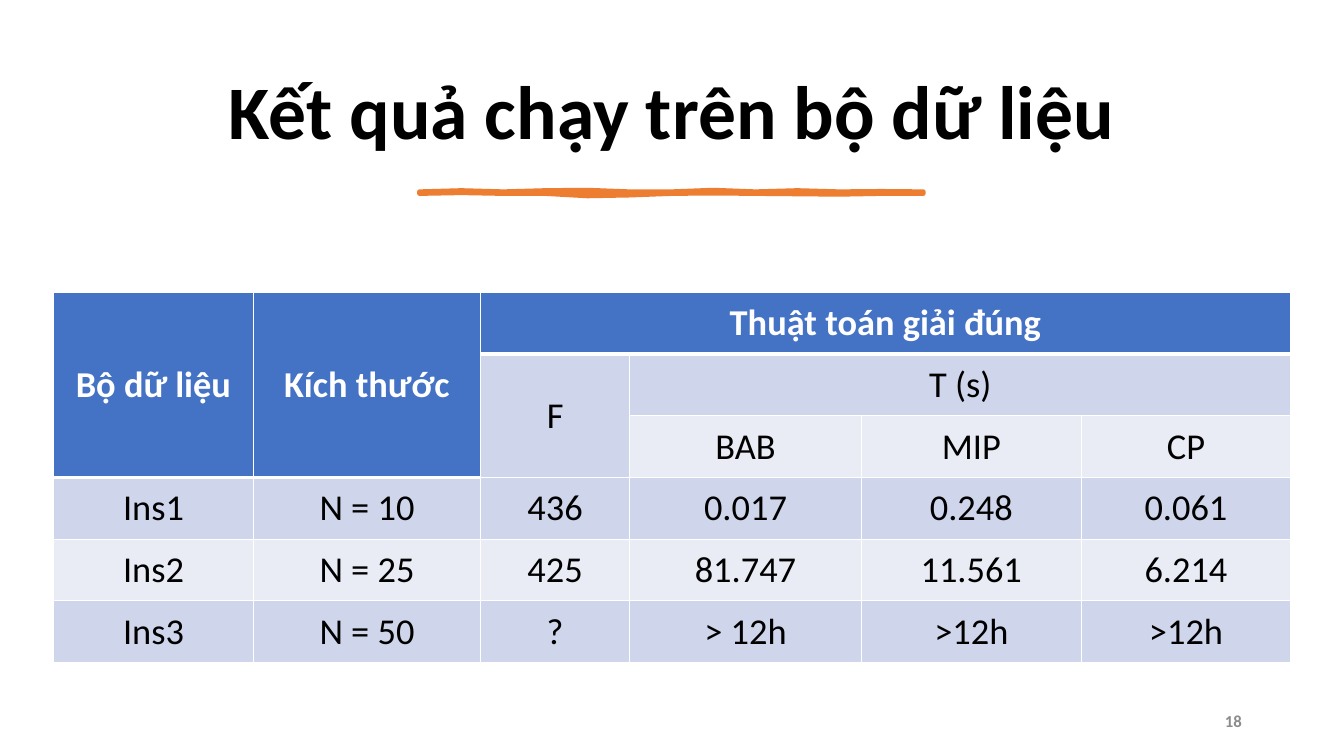
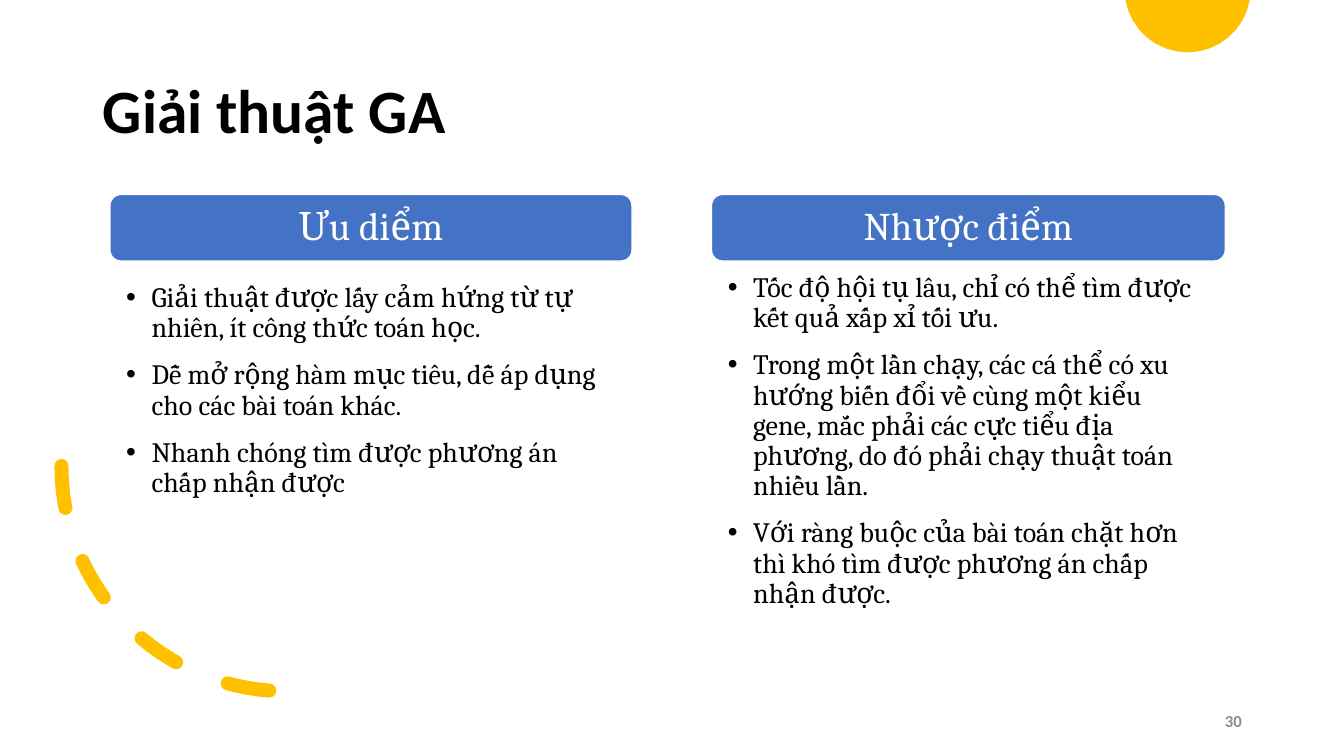
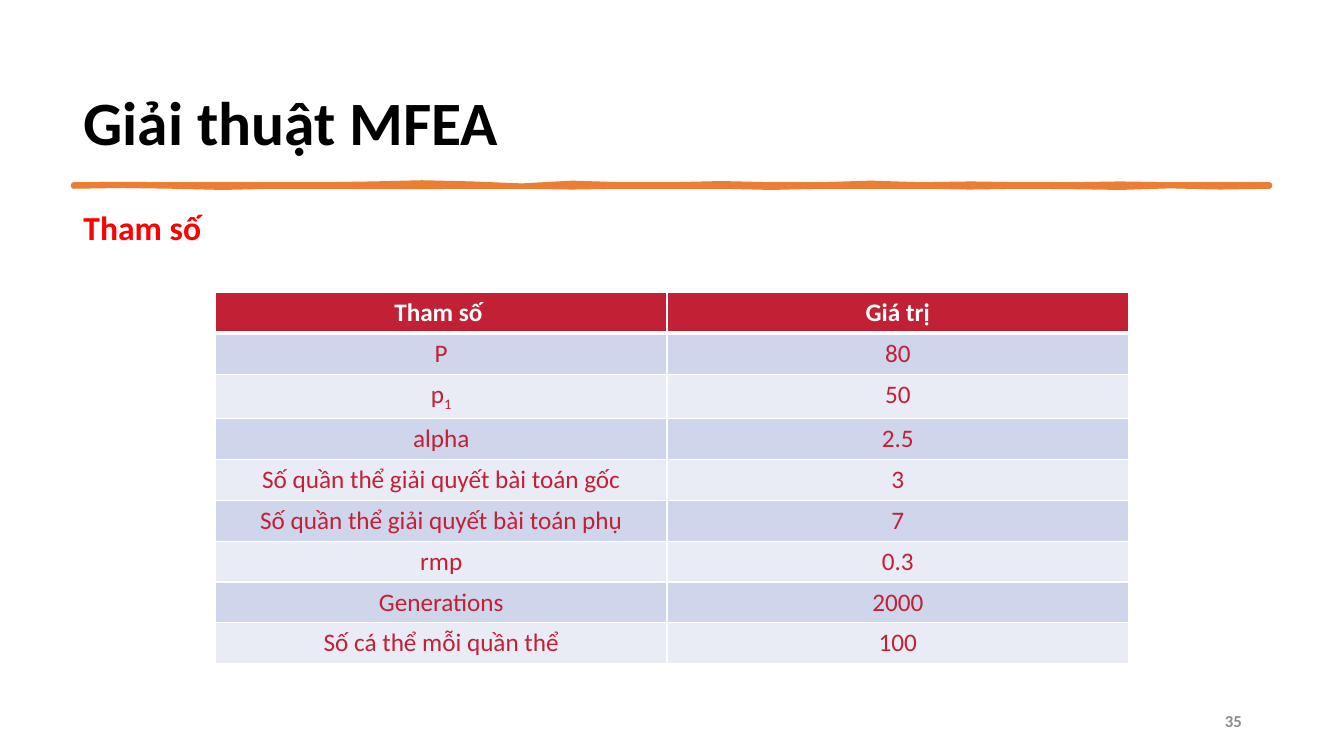
from math import asin, cos, pi, sin

from lxml import etree
from pptx import Presentation
from pptx.dml.color import RGBColor
from pptx.enum.dml import MSO_LINE
from pptx.enum.shapes import MSO_SHAPE
from pptx.enum.text import MSO_ANCHOR, MSO_AUTO_SIZE, PP_ALIGN
from pptx.oxml.ns import qn
from pptx.util import Cm, Pt

LEFT, CENTER, RIGHT = PP_ALIGN.LEFT, PP_ALIGN.CENTER, PP_ALIGN.RIGHT
TOP, MIDDLE = MSO_ANCHOR.TOP, MSO_ANCHOR.MIDDLE
FIXED = MSO_AUTO_SIZE.NONE
ARC, ROUNDED = MSO_SHAPE.ARC, MSO_SHAPE.ROUNDED_RECTANGLE
DASH = MSO_LINE.DASH


def look(name, size, color, bold=False):
    return {"name": name, "size": Pt(size), "bold": bold, "color": color}


class Theme:
    black, white, gray = "000000", "FFFFFF", "8C8C8C"
    blue, red, wine = "4472C4", "FF0000", "C22035"
    orange, gold = "ED7D31", "FFC000"
    bands = ("E9EBF5", "CFD5EA")
    sans, serif = "Calibri", "Cambria"
    cover = look(sans, 54, black, True)
    title = look(sans, 44, black, True)
    label = look(sans, 24, red, True)
    number = look(sans, 12, gray, True)
    header = look(serif, 28, white)
    body = look(serif, 20, black)
    large = look(sans, 26, black)
    small = look(sans, 18, wine)
    stroke, dash, thin, thick = 3.25, 10, 1, 3


def put(obj, vals):
    for key, val in vals.items():
        if key == "color":
            obj.color.rgb = RGBColor.from_string(val)
        else:
            setattr(obj, key, val)


def place(shape, box):
    put(shape, dict(zip(("left", "top", "width", "height"), map(Cm, box))))


def paint(shape, fill=None, line=None, width=1):
    shape.shadow.inherit = False
    if fill:
        shape.fill.solid()
        shape.fill.fore_color.rgb = RGBColor.from_string(fill)
    else:
        shape.fill.background()
    if line:
        put(shape.line, {"color": line, "width": Pt(width)})
    else:
        shape.line.fill.background()


def write(frame, lines, font, para, **frame_vals):
    put(frame, {"word_wrap": True, "auto_size": FIXED, **frame_vals})
    for i, line in enumerate(lines):
        item = frame.add_paragraph() if i else frame.paragraphs[0]
        put(item, para)
        run = item.add_run()
        run.text = line
        put(run.font, font)


def indent(frame, hang, bullet):
    for item in frame.paragraphs:
        props = item._p.get_or_add_pPr()
        props.set("marL", str(Cm(hang)))
        props.set("indent", str(-Cm(hang)))
        if bullet:
            etree.SubElement(props, qn("a:buFont")).set("typeface", "Arial")
            etree.SubElement(props, qn("a:buChar")).set("char", bullet)
        else:
            etree.SubElement(props, qn("a:buNone"))


def start(deck, layout, title, box, number, font=Theme.title, align=LEFT):
    slide = deck.slides.add_slide(deck.slide_layouts[layout])
    place(slide.shapes.title, box)
    write(slide.shapes.title.text_frame, [title], font,
          {"alignment": align, "line_spacing": 0.9}, vertical_anchor=MIDDLE)
    note = slide.shapes.add_textbox(*map(Cm, (23.93, 17.65, 7.62, 1.02)))
    write(note.text_frame, [number], Theme.number,
          {"alignment": RIGHT, "space_after": Pt(6)}, vertical_anchor=MIDDLE)
    return slide


def outline(slide, points):
    spots = [(Cm(x), Cm(y)) for x, y in points]
    pen = slide.shapes.build_freeform(*spots[0])
    pen.add_line_segments(spots[1:], close=True)
    return pen.convert_to_shape()


def wave(knots, x, y, width):
    gap = width / (len(knots) - 1)
    return [(x + i * gap, y + knot) for i, knot in enumerate(knots)]


def brush(slide, box, upper, lower):
    points = wave(upper, *box) + wave(lower, *box)[::-1]
    paint(outline(slide, points), Theme.orange, Theme.orange, Theme.stroke)


def sun(slide, x, y, radius):
    edge = asin(-y / radius)
    count = 16
    turns = [edge + (pi - 2 * edge) * i / count for i in range(count + 1)]
    points = [(x + radius * cos(t), y + radius * sin(t)) for t in turns]
    paint(outline(slide, points), Theme.gold)


def swoosh(slide, box):
    arc = slide.shapes.add_shape(ARC, *map(Cm, box))
    paint(arc, None, Theme.gold, Theme.dash)
    arc.rotation = 90
    arc.line.dash_style = DASH
    arc.element.spPr.find(qn("a:xfrm")).set("flipV", "1")
    arc.element.spPr.find(qn("a:ln")).set("cap", "rnd")


def panel(slide, holder, box, drop, heading, points):
    x, y, width, height = box
    bar = slide.shapes.add_shape(ROUNDED, *map(Cm, (x, y, width, 1.68)))
    paint(bar, Theme.blue, Theme.white, Theme.thin)
    write(bar.text_frame, [heading], Theme.header,
          {"alignment": CENTER, "line_spacing": 0.9}, vertical_anchor=MIDDLE)
    place(holder, (x, y + drop, width, height - drop))
    write(holder.text_frame, points, Theme.body,
          {"alignment": LEFT, "line_spacing": 0.9,
           "space_before": Pt(6), "space_after": Pt(6)},
          vertical_anchor=TOP, margin_left=Cm(0.41), margin_right=Cm(0.56),
          margin_top=Cm(0.08), margin_bottom=Cm(0.08))
    indent(holder.text_frame, 0.64, "•")


def border(cell, above, below):
    props = cell._tc.get_or_add_tcPr()
    sides = {"L": Theme.thin, "R": Theme.thin, "T": above, "B": below}
    for side, width in sides.items():
        line = etree.SubElement(props, qn("a:ln" + side), w=str(Pt(width)))
        fill = etree.SubElement(line, qn("a:solidFill"))
        etree.SubElement(fill, qn("a:srgbClr")).set("val", Theme.white)


def grid(slide, spot, cols, heights, rows, depths, fill, font, cell_vals, spans=()):
    box = (*spot, sum(cols), sum(heights))
    table = slide.shapes.add_table(len(rows), len(cols), *map(Cm, box)).table
    table.horz_banding = False
    for col, width in zip(table.columns, cols):
        col.width = Cm(width)
    for row, height in zip(table.rows, heights):
        row.height = Cm(height)
    for r, texts in enumerate(rows):
        for c, text in enumerate(texts):
            cell, head = table.cell(r, c), r < depths[c]
            border(cell, Theme.thick if r == depths[c] else Theme.thin,
                   Theme.thick if head else Theme.thin)
            cell.fill.solid()
            color = fill if head else Theme.bands[r % 2]
            cell.fill.fore_color.rgb = RGBColor.from_string(color)
            put(cell, cell_vals)
            if not text:
                continue
            item = cell.text_frame.paragraphs[0]
            item.alignment = CENTER
            base, _, sub = text.partition("_")
            for part in filter(None, (base, sub)):
                run = item.add_run()
                run.text = part
                put(run.font, {**font, "bold": head,
                               "color": Theme.white if head else font["color"]})
            if sub:
                run.font._element.set("baseline", "-25000")
    for top, left, low, right in spans:
        table.cell(top, left).merge(table.cell(low, right))


def results(deck):
    slide = start(deck, 5, "Kết quả chạy trên bộ dữ liệu",
                  (1.78, 1.17, 30.3, 3.48), "18", Theme.cover, CENTER)
    brush(slide, (10.57, 4.83, 12.7),
          (0, -0.03, 0, -0.03, -0.04, 0, 0, -0.04, 0, -0.03, 0, -0.01, 0),
          (0.05, 0.03, 0.05, 0.05, 0.11, 0.09, 0.05, 0.04, 0.05, 0.06, 0.07, 0.05, 0.05))
    rows = [
        ("Bộ dữ liệu", "Kích thước", "Thuật toán giải đúng", "", "", ""),
        ("", "", "F", "T (s)", "", ""),
        ("", "", "", "BAB", "MIP", "CP"),
        ("Ins1", "N = 10", "436", "0.017", "0.248", "0.061"),
        ("Ins2", "N = 25", "425", "81.747", "11.561", "6.214"),
        ("Ins3", "N = 50", "?", "> 12h", ">12h", ">12h"),
    ]
    grid(slide, (1.35, 7.37), (5.04, 5.72, 3.76, 5.84, 5.54, 5.28),
         [1.55, 1.56] * 3, rows, (3, 3, 1, 1, 1, 1), Theme.blue, Theme.large,
         {"vertical_anchor": MIDDLE, "margin_left": Cm(0.38),
          "margin_right": Cm(0.38), "margin_top": Cm(0.18),
          "margin_bottom": Cm(0.18)},
         ((0, 0, 2, 0), (0, 1, 2, 1), (0, 2, 0, 5), (1, 2, 2, 2), (1, 3, 1, 5)))


def compare(deck):
    slide = start(deck, 3, "Giải thuật GA", (2.34, 1.02, 29.21, 3.68), "30")
    sun(slide, 29.93, -0.27, 1.59)
    swoosh(slide, (1.55, 6.07, 11.35, 11.35))
    panel(slide, slide.placeholders[1], (2.77, 4.9, 13.16, 9.07), 2.16, "Ưu diểm", [
        "Giải thuật được lấy cảm hứng từ tự nhiên, ít công thức toán học.",
        "Dễ mở rộng hàm mục tiêu, dễ áp dụng cho các bài toán khác.",
        "Nhanh chóng tìm được phương án chấp nhận được",
    ])
    panel(slide, slide.placeholders[2], (17.93, 4.9, 12.95, 12.1), 1.91, "Nhược điểm", [
        "Tốc độ hội tụ lâu, chỉ có thể tìm được kết quả xấp xỉ tối ưu.",
        "Trong một lần chạy, các cá thể có xu hướng biến đổi về cùng một kiểu gene, "
        "mắc phải các cực tiểu địa phương, do đó phải chạy thuật toán nhiều lần.",
        "Với ràng buộc của bài toán chặt hơn thì khó tìm được phương án chấp nhận được.",
    ])


def settings(deck):
    slide = start(deck, 1, "Giải thuật MFEA", (1.85, 1.32, 29.21, 3.68), "35")
    brush(slide, (1.85, 4.65, 30.15),
          (0, -0.01, 0, 0, 0, 0, -0.02, -0.05, -0.02, 0.03, -0.04, 0, 0,
           -0.03, 0, 0, -0.04, 0, -0.02, 0, 0, -0.02, 0, 0, 0),
          (0.05, 0.03, 0.05, 0.08, 0.05, 0.05, 0.06, 0.06, 0.05, 0.05, 0.07, 0.05,
           0.05, 0.05, 0.08, 0.05, 0.05, 0.05, 0.07, 0.05, 0.06, 0.08, 0.04, 0.07, 0.05))
    label = slide.placeholders[1]
    place(label, (1.85, 5.21, 7.82, 1.85))
    write(label.text_frame, ["Tham số"], Theme.label,
          {"line_spacing": 0.9, "space_before": Pt(6), "space_after": Pt(6)})
    indent(label.text_frame, 0, None)
    rows = [
        ("Tham số ", "Giá trị"),
        ("P", "80"),
        ("p_1", "50"),
        ("alpha", "2.5"),
        ("Số quần thể giải quyết bài toán gốc", "3"),
        ("Số quần thể giải quyết bài toán phụ", "7"),
        ("rmp", "0.3"),
        ("Generations", "2000"),
        ("Số cá thể mỗi quần thể", "100"),
    ]
    grid(slide, (5.43, 7.37), (11.38, 11.63), [1] + [1.03] * (len(rows) - 1),
         rows, (1, 1), Theme.wine, Theme.small, {"vertical_anchor": TOP})


def main():
    deck = Presentation()
    put(deck, {"slide_width": Cm(33.87), "slide_height": Cm(19.05)})
    for build in (results, compare, settings):
        build(deck)
    deck.save("out.pptx")


if __name__ == "__main__":
    main()
